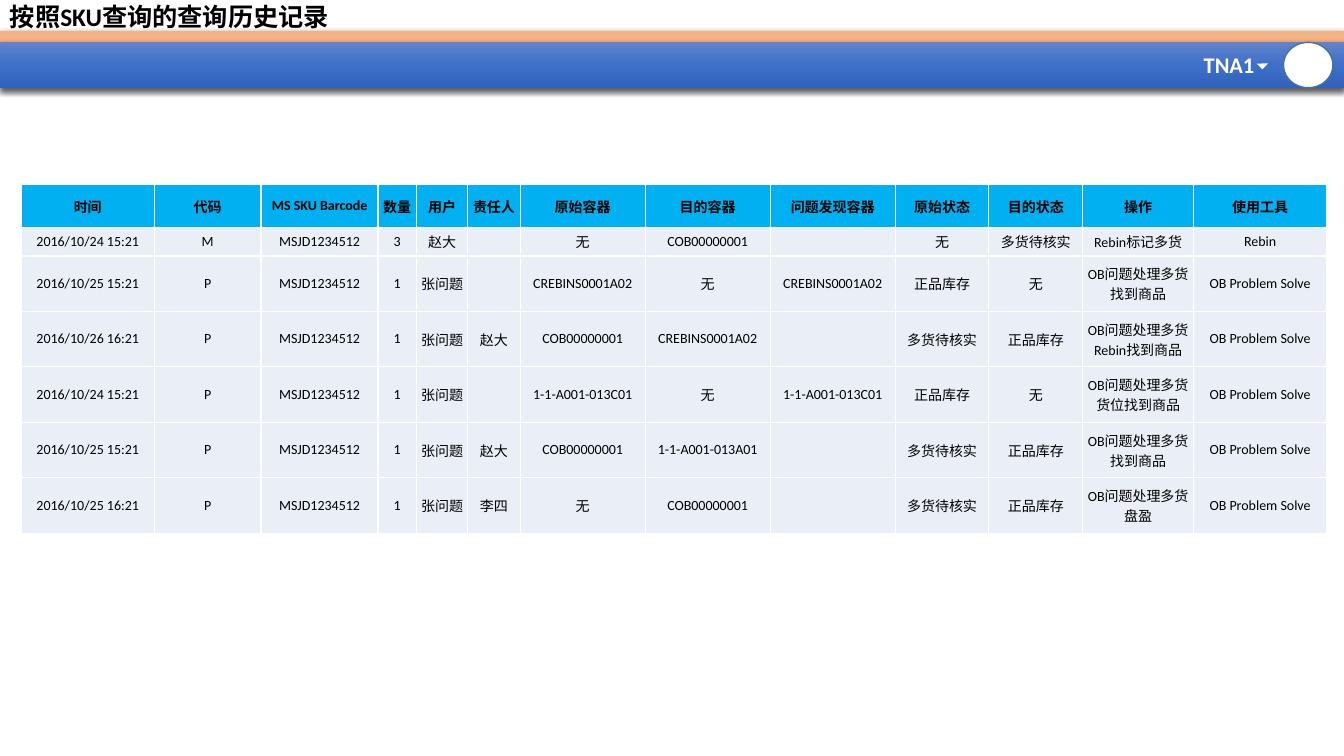
from lxml import etree
from pptx import Presentation
from pptx.dml.color import RGBColor
from pptx.enum.shapes import MSO_SHAPE as SHAPE
from pptx.enum.text import MSO_ANCHOR as ANCHOR, PP_ALIGN as ALIGN
from pptx.oxml import parse_xml
from pptx.oxml.ns import nsdecls, qn
from pptx.util import Inches, Pt


def rgb(color):
    return RGBColor.from_string(color)


def set_all(obj, values):
    for name, value in values.items():
        setattr(obj, name, value)


class Page:
    FONT = "Calibri"
    BLACK, WHITE = "000000", "FFFFFF"
    ORANGE, HEAD, BODY, OUTLINE = "F4B183", "00B0F0", "EAEFF7", "43739E"
    BLUES = {0: "6183CB", 50: "3E70CA", 100: "3062BB"}

    def __init__(self, prs):
        self.s = prs.slides.add_slide(prs.slide_layouts[6])

    def shape(self, kind, box, fill, line=None, rotation=0):
        sp = self.s.shapes.add_shape(kind, *map(Inches, box))
        sp.shadow.inherit = False
        sp.rotation = rotation
        sp.fill.solid()
        sp.fill.fore_color.rgb = rgb(fill)
        if line:
            sp.line.color.rgb = rgb(line)
            sp.line.width = Pt(1)
        else:
            sp.line.fill.background()
        return sp

    def band(self, box, fill, stops=None):
        sp = self.shape(SHAPE.RECTANGLE, box, fill)
        props = sp._element.spPr
        if stops:
            marks = "".join(f'<a:gs pos="{pos * 1000}"><a:srgbClr val="{color}"/></a:gs>'
                            for pos, color in stops.items())
            props.replace(props.find(qn("a:solidFill")), parse_xml(
                f'<a:gradFill {nsdecls("a")} rotWithShape="1"><a:gsLst>{marks}</a:gsLst>'
                '<a:lin ang="5400000" scaled="0"/></a:gradFill>'))
        props.find(qn("a:effectLst")).append(parse_xml(
            f'<a:outerShdw {nsdecls("a")} blurRad="{Pt(4.5)}" dist="{Pt(1.5)}" dir="5400000" '
            f'algn="ctr" rotWithShape="0"><a:srgbClr val="{self.BLACK}">'
            '<a:alpha val="63000"/></a:srgbClr></a:outerShdw>'))

    def add_run(self, p, text, size, color, bold):
        r = p.add_run()
        r.text = text
        set_all(r.font, {"name": self.FONT, "size": Pt(size), "bold": bold})
        r.font.color.rgb = rgb(color)

    def text(self, box, text, size, color, wrap=True, spacing=1.0):
        tf = self.s.shapes.add_textbox(*map(Inches, box)).text_frame
        set_all(tf, {"word_wrap": wrap, "vertical_anchor": ANCHOR.MIDDLE})
        p = tf.paragraphs[0]
        p.line_spacing = spacing
        self.add_run(p, text, size, color, True)

    def cell(self, cell, text, header):
        set_all(cell, {"margin_left": 0, "margin_right": 0, "margin_top": 0,
                       "margin_bottom": 0, "vertical_anchor": ANCHOR.MIDDLE})
        cell.fill.solid()
        cell.fill.fore_color.rgb = rgb(self.HEAD if header else self.BODY)
        p = cell.text_frame.paragraphs[0]
        p.alignment = ALIGN.CENTER
        if text:
            self.add_run(p, text, 10, self.BLACK, header)
        else:
            p._p.get_or_add_endParaRPr().set("sz", "1000")
        # Borders come before the fill in the cell properties
        tc_pr = cell._tc.get_or_add_tcPr()
        for i, side in enumerate("LRTB"):
            ln = etree.Element(qn(f"a:ln{side}"), w=str(Pt(1)))
            fill = etree.SubElement(ln, qn("a:solidFill"))
            etree.SubElement(fill, qn("a:srgbClr"), val=self.WHITE)
            tc_pr.insert(i, ln)

    def table(self, left, top, widths, heights, rows):
        box = (left, top, sum(widths), sum(heights))
        tbl = self.s.shapes.add_table(len(rows), len(widths), *map(Inches, box)).table
        set_all(tbl, {"first_row": False, "horz_banding": False})
        for col, width in zip(tbl.columns, widths):
            col.width = Inches(width)
        for i, (row, height) in enumerate(zip(rows, heights)):
            tbl.rows[i].height = Inches(height)
            for j, text in enumerate(row):
                self.cell(tbl.cell(i, j), text, i == 0)


prs = Presentation()
set_all(prs, {"slide_width": Inches(13.33), "slide_height": Inches(7.5)})
page = Page(prs)

# Header bands
page.band((0, 0.31, 13.33, 0.11), page.ORANGE)
page.band((0, 0.42, 13.33, 0.45), page.BLUES[50], page.BLUES)

# Site selector and user badge
page.shape(SHAPE.OVAL, (12.73, 0.42, 0.49, 0.45), page.WHITE, page.OUTLINE)
page.text((11.84, 0.46, 0.71, 0.37), "TNA1", 16, page.WHITE, wrap=False)
page.shape(SHAPE.RIGHT_TRIANGLE, (12.48, 0.59, 0.08, 0.08), page.WHITE, rotation=314.5)

# Title
page.text((0, -0.02, 11.5, 0.4), "按照SKU查询的查询历史记录", 18, page.BLACK, spacing=0.9)

# Query history
SKU, SOLVE, FOUND = "MSJD1234512", "OB Problem Solve", "OB问题处理多货"
NONE, STOCK, PENDING = "无", "正品库存", "多货待核实"
BIN, CART, SHELF = "COB00000001", "CREBINS0001A02", "1-1-A001-013"
history = [
    ("时间", "代码", "MS SKU Barcode", "数量", "用户", "责任人", "原始容器", "目的容器",
     "问题发现容器", "原始状态", "目的状态", "操作", "使用工具"),
    ("2016/10/24 15:21", "M", SKU, "3", "赵大", "", NONE, BIN, "",
     NONE, PENDING, "Rebin标记多货", "Rebin"),
]
# Time, person responsible, from, to, found in, state before, state after, action
solved = [
    ("25 15:21", "", CART, NONE, CART, STOCK, NONE, "找到商品"),
    ("26 16:21", "赵大", BIN, CART, "", PENDING, STOCK, "Rebin找到商品"),
    ("24 15:21", "", SHELF + "C01", NONE, SHELF + "C01", STOCK, NONE, "货位找到商品"),
    ("25 15:21", "赵大", BIN, SHELF + "A01", "", PENDING, STOCK, "找到商品"),
    ("25 16:21", "李四", NONE, BIN, "", PENDING, STOCK, "盘盈"),
]
for time, *details, action in solved:
    history.append((f"2016/10/{time}", "P", SKU, "1", "张问题", *details, FOUND + action, SOLVE))

widths = [1.32, 1.06, 1.16, 0.38, 0.51, 0.52] + [1.24] * 3 + [0.93] * 2 + [1.1, 1.32]
heights = [0.43, 0.28] + [0.55] * len(solved)
page.table(0.21, 1.83, widths, heights, history)

prs.save("out.pptx")
